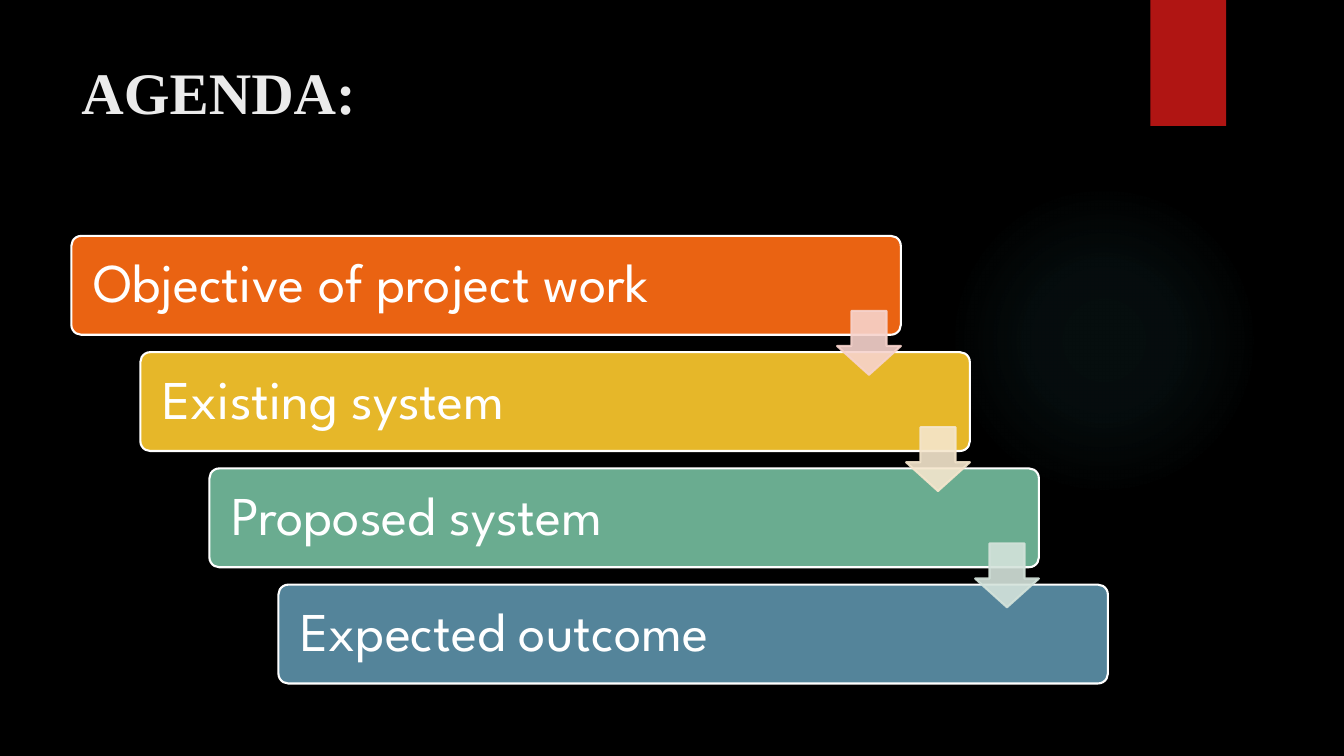
from lxml import etree
from pptx import Presentation
from pptx.dml.color import RGBColor
from pptx.enum.shapes import MSO_SHAPE
from pptx.enum.text import MSO_ANCHOR, PP_ALIGN
from pptx.oxml import parse_xml
from pptx.oxml.ns import nsdecls, qn
from pptx.util import Pt

OVAL = MSO_SHAPE.OVAL
RECTANGLE = MSO_SHAPE.RECTANGLE
ROUNDED = MSO_SHAPE.ROUNDED_RECTANGLE
DOWN_ARROW = MSO_SHAPE.DOWN_ARROW
TOP = MSO_ANCHOR.TOP
MIDDLE = MSO_ANCHOR.MIDDLE
LEFT = PP_ALIGN.LEFT

COLORS = {
    "background": "000000",
    "heading": "EBEBEB",
    "ribbon": "B01513",
    "glow": "50B9C1",
    "white": "FFFFFF",
    "orange": "EA6312",
    "yellow": "E6B729",
    "green": "6AAC90",
    "blue": "54849A",
    "pale_orange": "F7D3CC",
    "pale_yellow": "F5E6CD",
    "pale_green": "D4E3DB",
}
STEPS = [
    ("Objective of project work", "orange", "pale_orange"),
    ("Existing system", "yellow", "pale_yellow"),
    ("Proposed system", "green", "pale_green"),
    ("Expected outcome", "blue", None),
]
GLOW_STOPS = [(0, 7), (36, 6), (69, 0)]


def rgb(name):
    return RGBColor.from_string(COLORS[name])


def add_block(slide, kind, box, fill, line=None):
    block = slide.shapes.add_shape(kind, *(Pt(length) for length in box))
    block.shadow.inherit = False
    block.fill.solid()
    block.fill.fore_color.rgb = rgb(fill)
    if line:
        block.line.color.rgb = rgb(line)
        block.line.width = Pt(1.5)
    else:
        block.line.fill.background()
    return block


def write(frame, text, font_name, size, color, bold=False):
    paragraph = frame.paragraphs[0]
    paragraph.alignment = LEFT
    paragraph.line_spacing = 0.9
    run = paragraph.add_run()
    run.text = text
    run.font.name = font_name
    run.font.size = Pt(size)
    run.font.bold = bold
    run.font.color.rgb = rgb(color)
    return paragraph


def add_glow(slide, box):
    glow = add_block(slide, OVAL, box, "glow")
    stops = "".join(
        f'<a:gs pos="{position * 1000}"><a:srgbClr val="{COLORS["glow"]}">'
        f'<a:alpha val="{alpha * 1000}"/></a:srgbClr></a:gs>'
        for position, alpha in GLOW_STOPS
    )
    gradient = parse_xml(
        f'<a:gradFill {nsdecls("a")}><a:gsLst>{stops}</a:gsLst><a:path path="circle">'
        '<a:fillToRect l="50000" t="50000" r="50000" b="50000"/></a:path></a:gradFill>'
    )
    properties = glow.element.spPr
    properties.replace(properties.find(qn("a:solidFill")), gradient)


def add_heading(slide, box):
    heading = slide.shapes.title
    heading.left, heading.top, heading.width, heading.height = map(Pt, box)
    frame = heading.text_frame
    frame.word_wrap = True
    frame.vertical_anchor = TOP
    paragraph = write(frame, "AGENDA:", "Times New Roman", 42, "heading", True)
    paragraph.line_spacing = 1


def add_step(slide, box, text, fill):
    step = add_block(slide, ROUNDED, box, fill, "white")
    step.adjustments[0] = 0.1
    frame = step.text_frame
    frame.word_wrap = True
    frame.vertical_anchor = MIDDLE
    frame.margin_left = frame.margin_right = Pt(13.5)
    write(frame, text, "League Spartan", 39, "white")


def add_arrow(slide, box, color):
    arrow = add_block(slide, DOWN_ARROW, box, color, color)
    arrow.adjustments[0] = 0.55
    arrow.adjustments[1] = 0.45
    for tint in arrow.element.spPr.iter(qn("a:srgbClr")):
        etree.SubElement(tint, qn("a:alpha")).set("val", "90000")


def add_staircase(slide, box):
    left, top, width, height = box
    step_width, step_height, arrow_size = 592.5, 70.6, 45.6
    shift = (width - step_width) / (len(STEPS) - 1)
    drop = (height - step_height) / (len(STEPS) - 1)
    for index, (text, fill, _) in enumerate(STEPS):
        add_step(slide, (left + index * shift, top + index * drop, step_width, step_height), text, fill)
    for index, (_, _, arrow_color) in enumerate(STEPS[:-1]):
        arrow_left = left + index * shift + step_width - arrow_size
        arrow_top = top + index * drop + 53.6
        add_arrow(slide, (arrow_left, arrow_top, arrow_size, arrow_size), arrow_color)


def add_agenda_slide(presentation):
    slide = presentation.slides.add_slide(presentation.slide_layouts[5])
    slide.background.fill.solid()
    slide.background.fill.fore_color.rgb = rgb("background")
    add_glow(slide, (677.5, 131.8, 221.8, 221.8))
    add_block(slide, RECTANGLE, (821.8, 0, 54, 90), "ribbon")
    add_heading(slide, (51, 36, 741, 110))
    add_staircase(slide, (51, 168.5, 740.4, 319.7))


def main():
    presentation = Presentation()
    presentation.slide_width = Pt(960)
    presentation.slide_height = Pt(540)
    add_agenda_slide(presentation)
    presentation.save("out.pptx")


if __name__ == "__main__":
    main()
